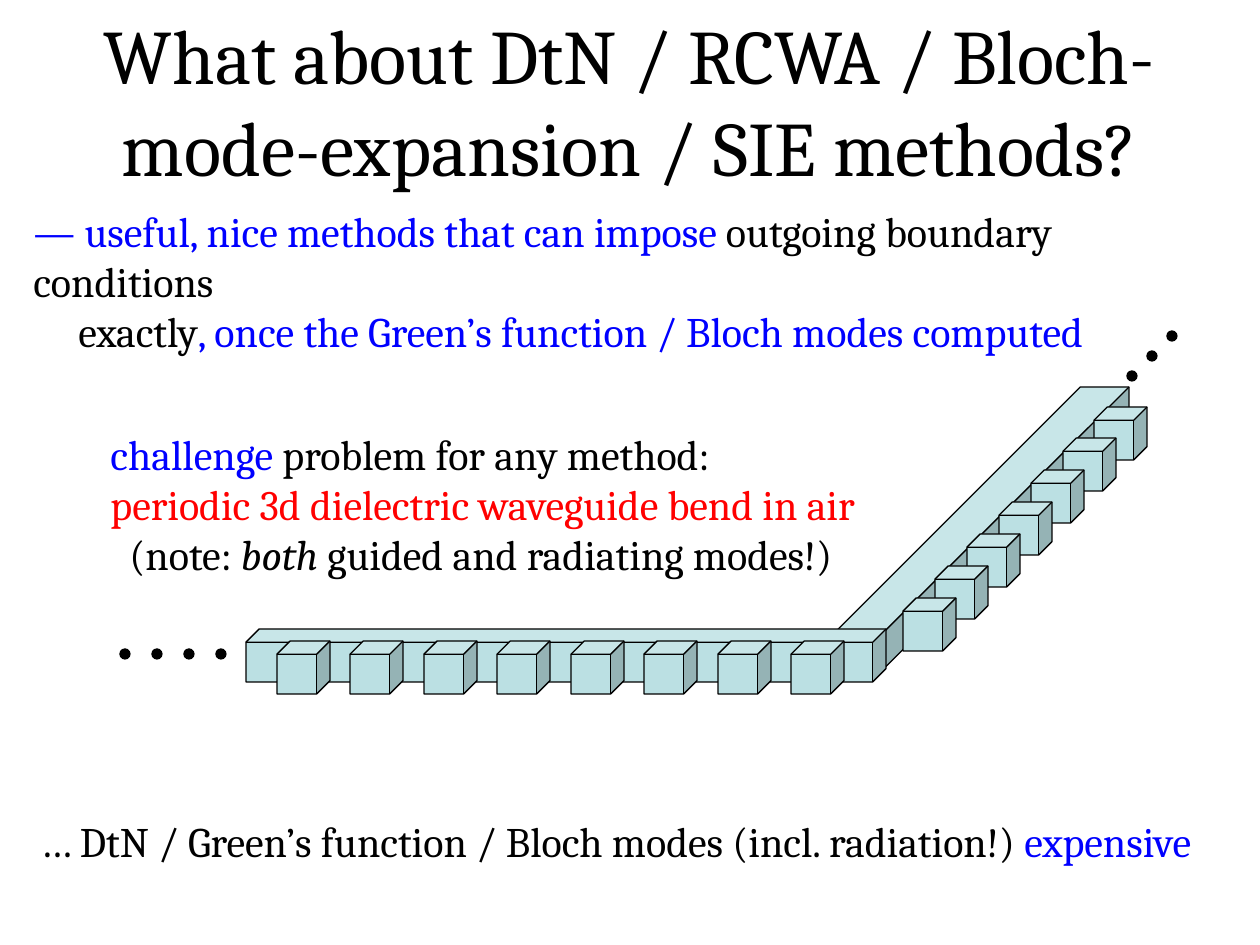
from pptx import Presentation
from pptx.dml.color import RGBColor
from pptx.enum.shapes import MSO_SHAPE as Shape
from pptx.enum.text import MSO_ANCHOR as Anchor, MSO_AUTO_SIZE as AutoSize, PP_ALIGN as Align
from pptx.util import Emu, Inches, Pt

PX = Inches(1) / 126
FONT = "Cambria"
BLACK = RGBColor(0x00, 0x00, 0x00)
BLUE = RGBColor(0x00, 0x00, 0xFF)
RED = RGBColor(0xFF, 0x00, 0x00)
TEAL = RGBColor(0xBB, 0xE0, 0xE3)

CUBE = 53
DOT = 10
TITLE = "What about DtN / RCWA / Bloch-mode-expansion / SIE methods?"
METHODS = [
    (0, [("— useful, nice methods that can impose ", BLUE, False),
         ("outgoing boundary conditions", BLACK, False)]),
    (45, [("exactly", BLACK, False),
          (", once the Green’s function / Bloch modes computed", BLUE, False)]),
]
CHALLENGE = [
    (0, [("challenge", BLUE, False), (" problem for any method:", BLACK, False)]),
    (0, [("periodic 3d dielectric waveguide bend in air", RED, False)]),
    (19, [("(note: ", BLACK, False), ("both", BLACK, True),
          (" guided and radiating modes!)", BLACK, False)]),
]
COST = [
    (0, [("… DtN / Green’s function / Bloch modes (incl. radiation!) ", BLACK, False),
         ("expensive", BLUE, False)]),
]


def px(length):
    return Emu(round(length * PX))


def set_title(page, left, top, width, height):
    title = page.shapes.title
    title.left, title.top, title.width, title.height = map(px, (left, top, width, height))
    frame = title.text_frame
    frame.text = TITLE
    frame.word_wrap = True
    frame.auto_size = AutoSize.NONE
    frame.vertical_anchor = Anchor.MIDDLE
    para = frame.paragraphs[0]
    para.alignment = Align.CENTER
    para.font.name, para.font.size = FONT, Pt(44)
    para.font.color.rgb = BLACK


def add_text(page, left, top, width, height, lines, wrap=True):
    box = page.shapes.add_textbox(*map(px, (left, top, width, height)))
    frame = box.text_frame
    frame.word_wrap = wrap
    frame.auto_size = AutoSize.SHAPE_TO_FIT_TEXT
    for number, (indent, pieces) in enumerate(lines):
        para = frame.add_paragraph() if number else frame.paragraphs[0]
        if indent:
            para._p.get_or_add_pPr().set("marL", str(px(indent)))
        para.font.name, para.font.size = FONT, Pt(24)
        for text, color, italic in pieces:
            span = para.add_run()
            span.text = text
            span.font.color.rgb = color
            if italic:
                span.font.italic = True


def add_solid(page, kind, left, top, width, height, fill):
    solid = page.shapes.add_shape(kind, *map(px, (left, top, width, height)))
    solid.shadow.inherit = False
    solid.fill.solid()
    solid.fill.fore_color.rgb = fill
    solid.line.color.rgb = BLACK
    solid.line.width = Pt(0.75)
    return solid


def add_waveguide(page, left, top):
    arm = add_solid(page, Shape.CUBE, left + 578, top, 305, 293, TEAL)
    arm.adjustments[0] = 0.875
    add_solid(page, Shape.CUBE, left, top + 242, 640, CUBE, TEAL)
    for index in range(8):
        add_solid(page, Shape.CUBE, left + 31 + index * 147 // 2, top + 254, CUBE, CUBE, TEAL)
    for index in range(7):
        step = index * 191 // 6
        add_solid(page, Shape.CUBE, left + 848 - step, top + 20 + step, CUBE, CUBE, TEAL)


def add_dots(page, left, top, count, step_x, step_y):
    for index in range(count):
        add_solid(page, Shape.OVAL, left + index * step_x, top + index * step_y, DOT, DOT, BLACK)


def main():
    deck = Presentation()
    deck.slide_width, deck.slide_height = Inches(10), Inches(7.5)
    page = deck.slides.add_slide(deck.slide_layouts[5])
    set_title(page, 21, 21, 1218, 158)
    add_text(page, 21, 199, 1225, 115, METHODS)
    add_text(page, 98, 422, 772, 165, CHALLENGE, wrap=False)
    add_text(page, 28, 809, 1222, 64, COST)
    add_waveguide(page, 246, 387)
    add_dots(page, 120, 649, 4, 32, 0)
    add_dots(page, 1127, 371, 3, 20, -20)
    deck.save("out.pptx")


if __name__ == "__main__":
    main()
